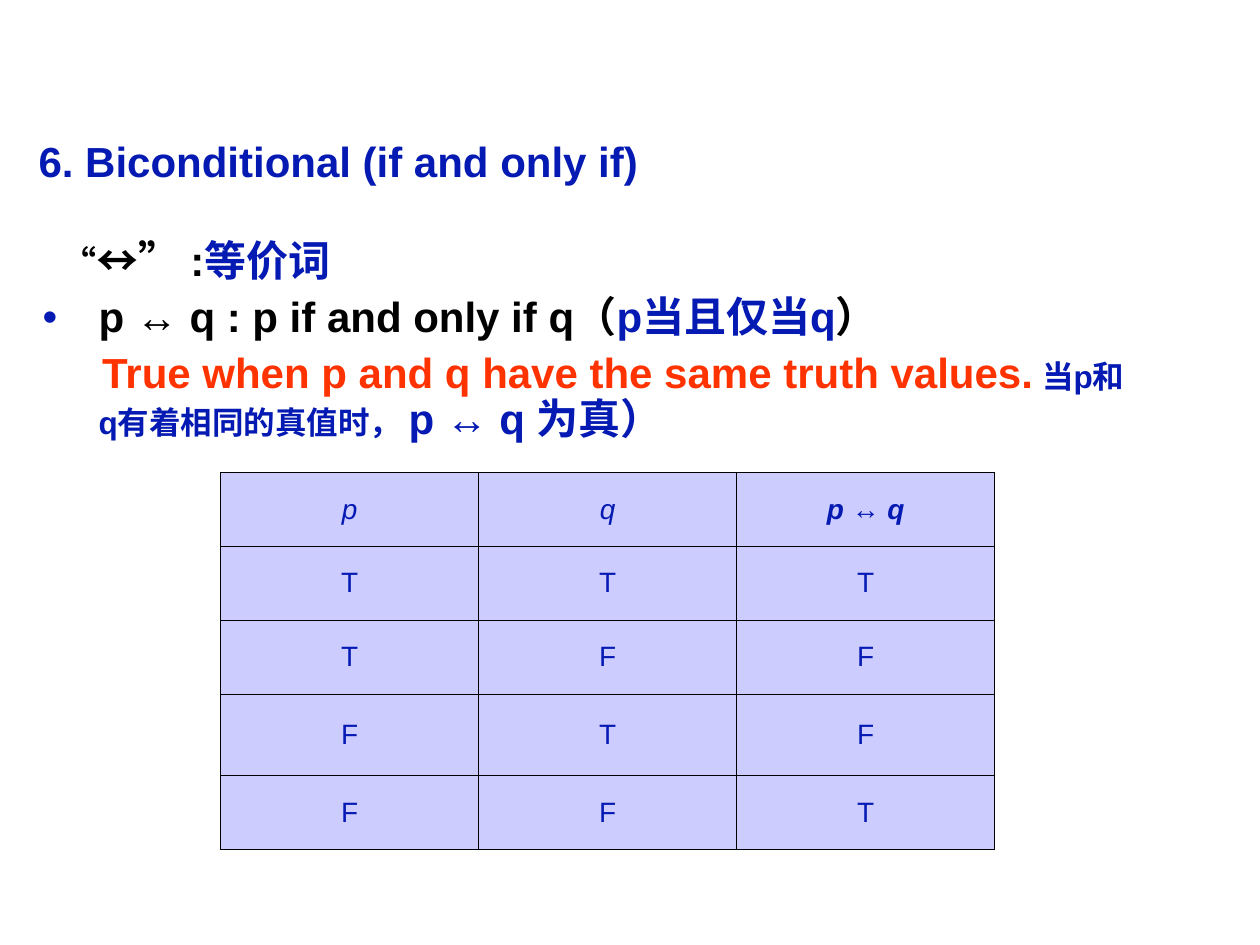
from lxml.etree import SubElement as Sub
from pptx import Presentation
from pptx.dml.color import RGBColor as RGB
from pptx.enum.text import MSO_ANCHOR as ANCHOR, PP_ALIGN as ALIGN
from pptx.oxml.ns import qn
from pptx.util import Pt

COLORS = {"blue": "051AB3", "black": "000000", "red": "FF3300", "cell": "CCCCFF"}


def add_run(p, text, size=24, color="blue", bold=True, italic=False):
    r = p.add_run()
    r.text = text
    r.font.name = "Arial"
    r.font.size = Pt(size)
    r.font.bold = bold
    r.font.italic = italic
    r.font.color.rgb = RGB.from_string(COLORS[color])


class Deck:
    """Holds the style and the current slide."""

    def __init__(self, width, height):
        self.prs = Presentation()
        self.prs.slide_width, self.prs.slide_height = Pt(width), Pt(height)
        self.s = self.prs.slides.add_slide(self.prs.slide_layouts[6])

    def text(self, box, paragraphs, anchor=ANCHOR.TOP, after=0):
        """Each paragraph is (margin, first-line indent, bullet, runs)."""
        tf = self.s.shapes.add_textbox(*map(Pt, box)).text_frame
        tf.word_wrap = True
        tf.vertical_anchor = anchor
        tf.margin_right = Pt(12)
        for i, (margin, indent, bullet, runs) in enumerate(paragraphs):
            p = tf.add_paragraph() if i else tf.paragraphs[0]
            p.line_spacing = 0.9
            p.space_after = Pt(after)
            pPr = p._p.get_or_add_pPr()
            pPr.set("marL", str(Pt(margin)))
            pPr.set("indent", str(Pt(indent)))
            if bullet:
                clr = Sub(pPr, qn("a:buClr"))
                Sub(clr, qn("a:srgbClr"), val=COLORS["blue"])
                Sub(pPr, qn("a:buFont"), typeface="Arial")
                Sub(pPr, qn("a:buChar"), char=bullet)
            for text, fmt in runs:
                add_run(p, text, **fmt)

    def table(self, left, top, col_width, heights, rows):
        n_cols = len(rows[0])
        tbl = self.s.shapes.add_table(len(rows), n_cols, Pt(left), Pt(top),
                                      Pt(col_width * n_cols), Pt(sum(heights))).table
        tbl.first_row = tbl.horz_banding = False
        for col in tbl.columns:
            col.width = Pt(col_width)
        for row, height, values in zip(tbl.rows, heights, rows):
            row.height = Pt(height)
            for cell, runs in zip(row.cells, values):
                self.cell(cell, runs)

    def cell(self, cell, runs):
        cell.vertical_anchor = ANCHOR.MIDDLE
        p = cell.text_frame.paragraphs[0]
        p.alignment = ALIGN.CENTER
        p.space_after = Pt(4)
        for text, fmt in runs:
            add_run(p, text, size=16, **fmt)
        # Borders come before the fill in the cell properties
        tcPr = cell._tc.get_or_add_tcPr()
        for side in ("lnL", "lnR", "lnT", "lnB"):
            ln = Sub(tcPr, qn("a:" + side), w=str(Pt(0.45)))
            fill = Sub(ln, qn("a:solidFill"))
            Sub(fill, qn("a:srgbClr"), val=COLORS["black"])
        cell.fill.solid()
        cell.fill.fore_color.rgb = RGB.from_string(COLORS["cell"])


def main():
    deck = Deck(720, 540)
    blue, black, small = {}, {"color": "black"}, {"size": 18}

    # Title
    deck.text((15, 62.5, 689, 62),
              [(0, 0, None, [("6. Biconditional (if and only if)", blue)])],
              anchor=ANCHOR.MIDDLE)

    # Definition
    deck.text((17.3, 134, 643, 130), [
        (32, -21, None, [("“", {"size": 20, "color": "black"}),
                         ("↔” :", black), ("等价词", blue)]),
        (32, -32, "•", [("p ↔ q : p if and only if q（", black),
                        ("p当且仅当q", blue), ("）", black)]),
        (32, 2, None, [("True when p and q have the same truth values.", {"color": "red"}),
                       (" ", small), ("当p和q有着相同的真值时， ", small),
                       ("p ↔ q 为真）", blue)]),
    ], after=6)

    # Truth table
    plain, slanted = {"bold": False}, {"bold": False, "italic": True}
    strong = {"italic": True}
    header = [[("p", slanted)], [("q", slanted)],
              [("p ", strong), ("↔ ", blue), ("q", strong)]]
    body = [[[(value, plain)] for value in row] for row in ("TTT", "TFF", "FTF", "FFT")]
    deck.table(126, 270, 147.5, [42.2, 42.2, 42.2, 46.8, 42.2], [header] + body)

    deck.prs.save("out.pptx")


if __name__ == "__main__":
    main()
